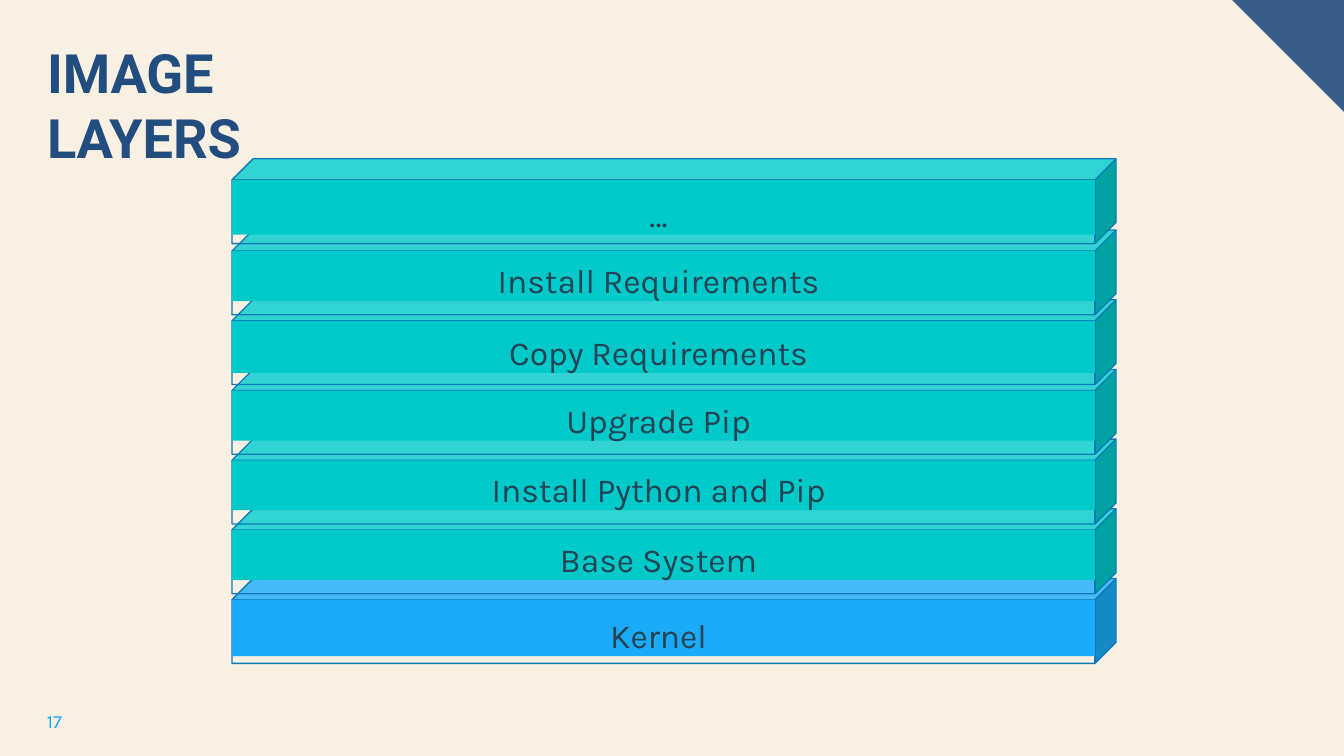
import dataclasses
import pptx
import pptx.dml.color
import pptx.enum.shapes
import pptx.enum.text
import pptx.util

Pt = pptx.util.Pt


@dataclasses.dataclass(frozen=True)
class Theme:
    """Colours, fonts and type sizes of the slide."""
    back: str = "F8F0E3"
    corner: str = "385E88"
    title: str = "224E7F"
    label: str = "244355"
    edge: str = "0F7BB6"
    page: str = "1AAAF8"
    teal: tuple = ("00CAC9", "31D4D3", "00A2A1")
    blue: tuple = ("1AAAF8", "46BAF8", "1588C6")
    head: str = "Roboto"
    body: str = "Karla"
    large: float = 38.7
    mid: float = 24
    small: float = 13.3


THEME = Theme()
LAYERS = [
    ("Kernel", THEME.blue, 11, 0),
    ("Base System", THEME.teal, 6.5, 0),
    ("Install Python and Pip", THEME.teal, 6.3, 0),
    ("Upgrade Pip", THEME.teal, 6.5, 0),
    ("Copy Requirements", THEME.teal, 7.8, 0),
    ("Install Requirements", THEME.teal, 6.4, 0),
    ("…", THEME.teal, 9.9, 1.1),
]


def tint(code):
    """Turn a hex code into a colour."""
    return pptx.dml.color.RGBColor.from_string(code)


def paint(shape, code):
    """Fill a shape flat, with no line or shadow."""
    shape.shadow.inherit = False
    shape.fill.solid()
    shape.fill.fore_color.rgb = tint(code)
    shape.line.fill.background()


def write(shape, text, face, size, code, top=1.4, right=0, align="LEFT", bold=False):
    """Write one run of text into a shape."""
    frame = shape.text_frame
    frame.word_wrap = True
    frame.auto_size = pptx.enum.text.MSO_AUTO_SIZE.NONE
    frame.vertical_anchor = pptx.enum.text.MSO_ANCHOR.TOP
    frame.margin_left = frame.margin_bottom = 0
    frame.margin_top, frame.margin_right = Pt(top), Pt(right)
    line = frame.paragraphs[0]
    line.alignment = getattr(pptx.enum.text.PP_ALIGN, align)
    line.line_spacing = 1.0
    run = line.add_run()
    run.text = text
    run.font.name, run.font.size, run.font.bold = face, Pt(size), bold
    run.font.color.rgb = tint(code)


def trace(shapes, *paths):
    """Draw one outline from paths of points; a path that ends at its start closes."""
    pen = None
    for path in paths:
        dots = [(Pt(x), Pt(y)) for x, y in path]
        if pen is None:
            pen = shapes.build_freeform(*dots[0])
        else:
            pen.move_to(*dots[0])
        shut = dots[0] == dots[-1]
        pen.add_line_segments(dots[1:-1] if shut else dots[1:], close=shut)
    return pen.convert_to_shape()


def add_block(slide, x, y, wide, high, deep, text, tones, inset):
    """Draw one slab with its side, lid, edges and labelled front."""
    front, lid, side = tones
    right, back, base = x + wide, x + wide + deep, y + deep + high
    near, far = (x, y + deep), (right, y + deep)
    rear, peak = (x + deep, y), (back, y)
    foot, heel = (right, base), (back, base - deep)
    shapes = slide.shapes.add_group_shape().shapes
    paint(trace(shapes, [peak, far, foot, heel, peak]), side)
    paint(trace(shapes, [peak, rear, near, far, peak]), lid)
    edge = trace(shapes, [near, rear, peak, heel, foot, (x, base), near],
                 [near, far, peak], [far, foot])
    edge.shadow.inherit = False
    edge.fill.background()
    edge.line.color.rgb = tint(THEME.edge)
    edge.line.width = Pt(0.96)
    label = shapes.add_shape(pptx.enum.shapes.MSO_SHAPE.RECTANGLE,
                             Pt(x), Pt(y + deep), Pt(wide), Pt(29.3 + inset))
    paint(label, front)
    write(label, text, THEME.body, THEME.mid, THEME.label, inset, 7, "CENTER")


def add_stack(slide, x, base, wide, high, deep, pitch):
    """Pile the slabs upwards from the base."""
    for step, (text, tones, inset, lift) in enumerate(LAYERS):
        y = base - high - deep - step * pitch - lift
        add_block(slide, x, y, wide, high, deep, text, tones, inset)


def add_title(slide, x, y, wide, high):
    """Place and format the title."""
    title = slide.shapes.title
    title.left, title.top, title.width, title.height = map(Pt, (x, y, wide, high))
    write(title, "IMAGE LAYERS", THEME.head, THEME.large, THEME.title, bold=True)


def add_corner(slide, x, y, size):
    """Draw the triangle in the corner."""
    shape = slide.shapes.add_shape(pptx.enum.shapes.MSO_SHAPE.RIGHT_TRIANGLE,
                                   Pt(x), Pt(y), Pt(size), Pt(size))
    shape.rotation = 180
    paint(shape, THEME.corner)


def add_page(slide, x, y, size):
    """Write the page number."""
    box = slide.shapes.add_textbox(Pt(x), Pt(y), Pt(size), Pt(size))
    write(box, "17", THEME.body, THEME.small, THEME.page)


def main():
    """Build the slide and save it."""
    deck = pptx.Presentation()
    deck.slide_width, deck.slide_height = Pt(960), Pt(540)
    slide = deck.slides.add_slide(deck.slide_layouts.get_by_name("Title Only"))
    slide.background.fill.solid()
    slide.background.fill.fore_color.rgb = tint(THEME.back)
    add_corner(slide, 880, 0, 80)
    add_page(slide, 33.6, 505.4, 17.3)
    add_title(slide, 33.6, 26.6, 235.5, 95)
    add_stack(slide, 165.7, 473.9, 616.4, 45.5, 15.1, 49.8)
    deck.save("out.pptx")


if __name__ == "__main__":
    main()
